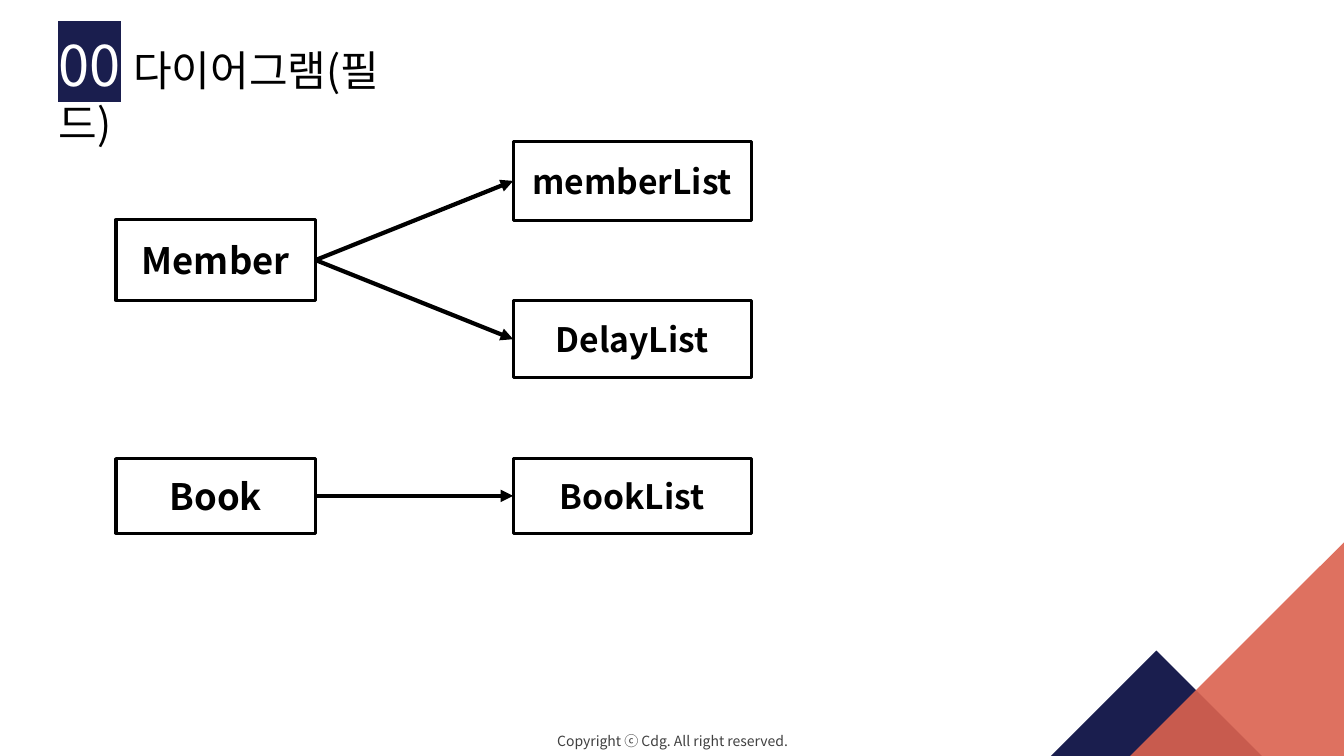
from lxml import etree
from pptx import Presentation
from pptx.dml.color import RGBColor
from pptx.enum.shapes import MSO_CONNECTOR, MSO_SHAPE
from pptx.enum.text import MSO_ANCHOR, MSO_AUTO_SIZE, PP_ALIGN
from pptx.oxml.ns import qn
from pptx.util import Inches, Pt

STRAIGHT = MSO_CONNECTOR.STRAIGHT
RECTANGLE, RIGHT_TRIANGLE = MSO_SHAPE.RECTANGLE, MSO_SHAPE.RIGHT_TRIANGLE
TOP, MIDDLE = MSO_ANCHOR.TOP, MSO_ANCHOR.MIDDLE
GROW = MSO_AUTO_SIZE.SHAPE_TO_FIT_TEXT
LEFT, CENTER = PP_ALIGN.LEFT, PP_ALIGN.CENTER

FONT = "Noto Sans CJK KR"
NAVY, CORAL = "1A1E4E", "DB624F"
BLACK, WHITE, GRAY = "000000", "FFFFFF", "404040"
LEFT_SIDE, RIGHT_SIDE = 1, 3

# Columns of the diagram: left, width, text size
CLASS_COLUMN = (1.15, 1.98, 26)
LIST_COLUMN = (5.09, 2.36, 24)
# Class: (top, height), then its lists with their own top and height
FIELDS = {
    "Member": ((2.18, 0.8), {"memberList": (1.4, 0.79), "DelayList": (2.98, 0.77)}),
    "Book": ((4.55, 0.74), {"BookList": (4.55, 0.74)}),
}


def rgb(color):
    return RGBColor.from_string(color)


def apply(target, values):
    for name, value in values.items():
        setattr(target, name, value)


def add_run(paragraph, text, size, color, bold=False, highlight=None):
    run = paragraph.add_run()
    run.text = text
    apply(run.font, {"name": FONT, "size": Pt(size), "bold": bold})
    run.font.color.rgb = rgb(color)
    properties = run.font._element
    latin = properties.find(qn("a:latin"))
    east_asian = etree.Element(qn("a:ea"), typeface=FONT)
    latin.addnext(east_asian)
    if highlight:
        marker = etree.Element(qn("a:highlight"))
        etree.SubElement(marker, qn("a:srgbClr"), val=highlight)
        latin.addprevious(marker)


def add_title(slide):
    title = slide.shapes.title
    apply(title, {"left": Inches(0.48), "top": Inches(0.25),
                  "width": Inches(3.88), "height": Inches(0.77)})
    apply(title.text_frame, {"word_wrap": True, "auto_size": GROW,
                             "vertical_anchor": TOP})
    heading = title.text_frame.paragraphs[0]
    heading.alignment = LEFT
    add_run(heading, "00", 40, WHITE, highlight=NAVY)
    add_run(heading, " ", 40, BLACK)
    add_run(heading, "다이어그램(필드)", 30, BLACK)


def add_copyright(slide):
    footer = slide.shapes.add_textbox(Inches(4.9), Inches(7.22), Inches(3.54), Inches(0.27))
    apply(footer.text_frame, {"word_wrap": True, "auto_size": GROW})
    line = footer.text_frame.paragraphs[0]
    line.alignment = CENTER
    add_run(line, "Copyright ⓒ Cdg. All right reserved.", 10, GRAY)


def add_triangle(group, left, top, side, rotation, color, opacity=100):
    triangle = group.shapes.add_shape(
        RIGHT_TRIANGLE, Inches(left), Inches(top), Inches(side), Inches(side))
    triangle.rotation = rotation
    triangle.shadow.inherit = False
    triangle.line.fill.background()
    triangle.fill.solid()
    triangle.fill.fore_color.rgb = rgb(color)
    if opacity < 100:
        fill_color = triangle._element.spPr.find(qn("a:solidFill"))[0]
        etree.SubElement(fill_color, qn("a:alpha"), val=str(opacity * 1000))


def add_box(slide, label, column, row):
    (left, width, size), (top, height) = column, row
    box = slide.shapes.add_shape(
        RECTANGLE, Inches(left), Inches(top), Inches(width), Inches(height))
    box.shadow.inherit = False
    box.fill.solid()
    box.fill.fore_color.rgb = rgb(WHITE)
    box.line.color.rgb = rgb(BLACK)
    box.line.width = Pt(2.25)
    apply(box.text_frame, {"word_wrap": True, "vertical_anchor": MIDDLE})
    name = box.text_frame.paragraphs[0]
    name.alignment = CENTER
    add_run(name, label, size, BLACK, bold=True)
    return box


def add_arrow(slide, class_box, list_box):
    arrow = slide.shapes.add_connector(STRAIGHT, 0, 0, 0, 0)
    arrow.begin_connect(class_box, RIGHT_SIDE)
    arrow.end_connect(list_box, LEFT_SIDE)
    arrow.line.color.rgb = rgb(BLACK)
    arrow.line.width = Pt(3)
    etree.SubElement(arrow.line._get_or_add_ln(), qn("a:tailEnd"), type="triangle")
    etree.SubElement(arrow._element.spPr, qn("a:effectLst"))


def main():
    deck = Presentation()
    deck.slide_width, deck.slide_height = Inches(13.33), Inches(7.5)
    slide = deck.slides.add_slide(deck.slide_layouts[5])

    # Corner decoration
    corner = slide.shapes.add_group_shape()
    add_triangle(corner, 10.73, 6.76, 1.48, 135, NAVY)
    add_triangle(corner, 11.2, 5.37, 2.14, 270, CORAL, opacity=90)

    # Footer and heading
    add_copyright(slide)
    add_title(slide)

    # Classes, each joined to its lists
    for class_name, (class_row, lists) in FIELDS.items():
        class_box = add_box(slide, class_name, CLASS_COLUMN, class_row)
        for list_name, list_row in lists.items():
            list_box = add_box(slide, list_name, LIST_COLUMN, list_row)
            add_arrow(slide, class_box, list_box)

    deck.save("out.pptx")


if __name__ == "__main__":
    main()
